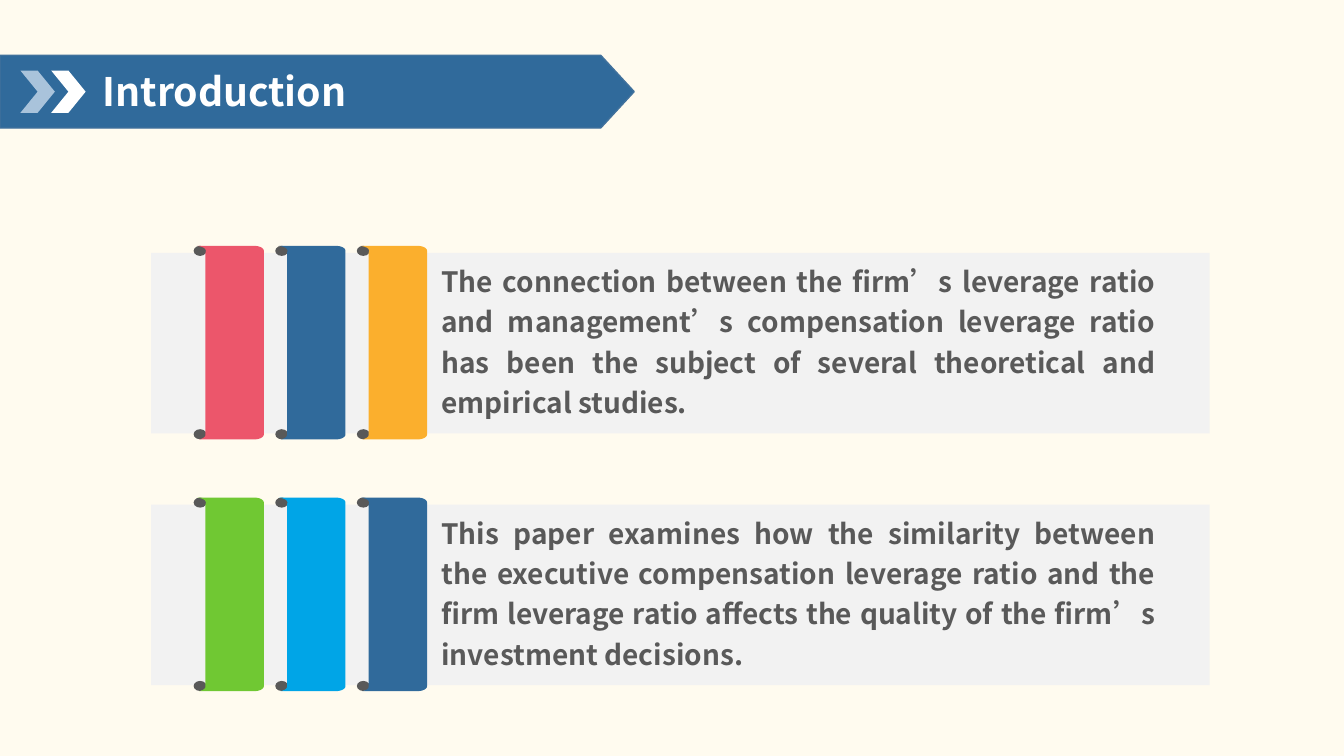
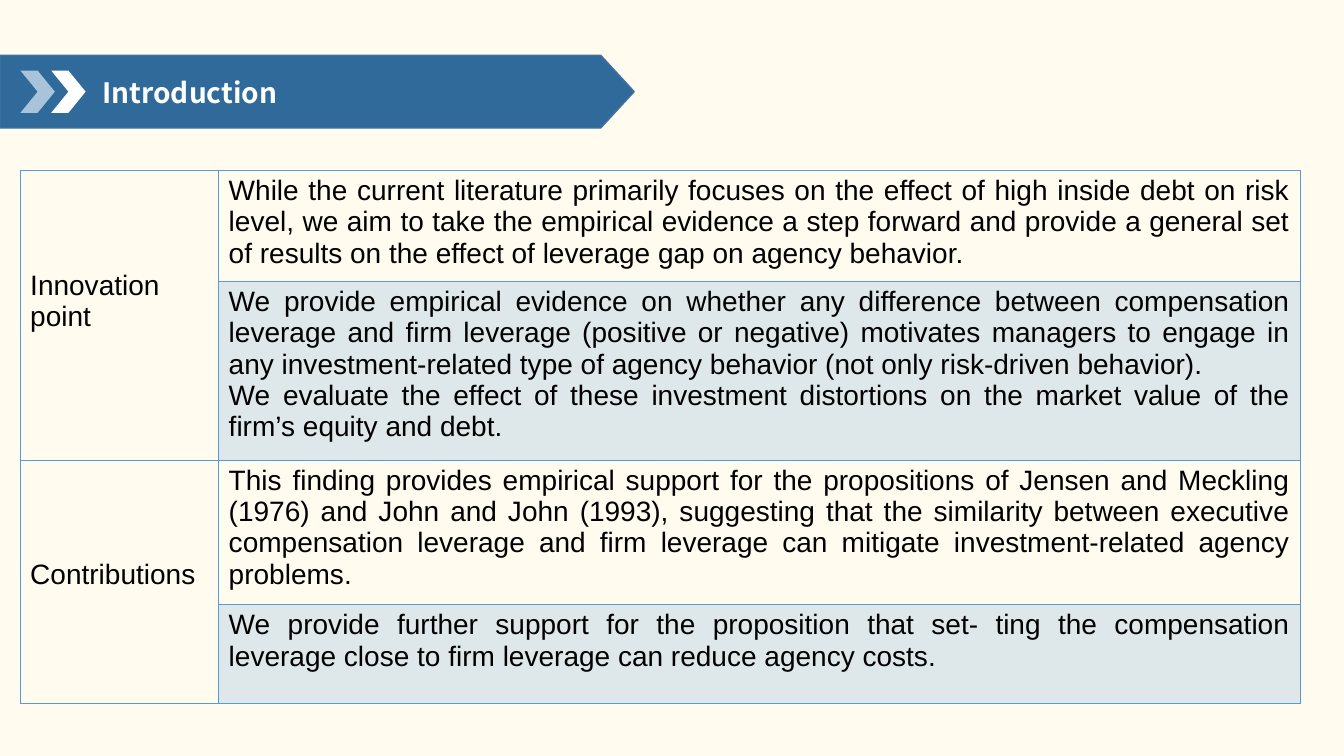
from lxml import etree
from pptx import Presentation
from pptx import util as u
from pptx.dml.color import RGBColor
from pptx.enum import shapes, text
from pptx.oxml.ns import qn

BLUE, GREY, EDGE = "306A9B", "595959", "5B9BD5"
SANS = "Noto Sans CJK SC"
TITLE = dict(size=u.Pt(28), bold=True, name=SANS)
BODY = dict(size=u.Pt(20), bold=True, name=SANS)
CELL = dict(size=u.Pt(20), name="Arial")
JUST = dict(alignment=text.PP_ALIGN.JUSTIFY)
KIND = shapes.MSO_SHAPE

CARDS = [
    (180.6, ["EC566B", BLUE, "FBAF2D"],
     "The connection between the firm’s leverage ratio and management’s compensation "
     "leverage ratio has been the subject of several theoretical and empirical studies."),
    (360.4, ["70C833", "00A5E7", BLUE],
     "This paper examines how the similarity between the executive compensation leverage "
     "ratio and the firm leverage ratio affects the quality of the firm’s investment decisions."),
]
ROWS = [
    ("Innovation point", 79.2, [
        "While the current literature primarily focuses on the effect of high inside debt on "
        "risk level, we aim to take the empirical evidence a step forward and provide a general "
        "set of results on the effect of leverage gap on agency behavior."]),
    (None, 127.6, [
        "We provide empirical evidence on whether any difference between compensation leverage "
        "and firm leverage (positive or negative) motivates managers to engage in any "
        "investment-related type of agency behavior (not only risk-driven behavior).",
        "We evaluate the effect of these investment distortions on the market value of the "
        "firm’s equity and debt."]),
    ("Contributions", 103.2, [
        "This finding provides empirical support for the propositions of Jensen and Meckling "
        "(1976) and John and John (1993), suggesting that the similarity between executive "
        "compensation leverage and firm leverage can mitigate investment-related agency "
        "problems."]),
    (None, 70.8, [
        "We provide further support for the proposition that set- ting the compensation "
        "leverage close to firm leverage can reduce agency costs."]),
]


def rgb(code):
    """Turn a hex string into a colour."""
    return RGBColor.from_string(code)


def curve(a, b, c, d, steps=8):
    """Sample a cubic curve from a to d, without its start."""
    spots = []
    for i in range(1, steps + 1):
        t = i / steps
        s = 1 - t
        spots.append(tuple(s**3 * p + 3 * s * s * t * q + 3 * s * t * t * v + t**3 * w
                           for p, q, v, w in zip(a, b, c, d)))
    return spots


class Deck:
    """Hold the style and the current slide."""

    def __init__(self):
        """Open a blank deck with its shared background."""
        self.prs = Presentation()
        self.prs.slide_width, self.prs.slide_height = u.Pt(960), u.Pt(540)
        fill = self.prs.slide_master.background.fill
        fill.solid()
        fill.fore_color.rgb = rgb("FFFBEF")

    def page(self, title, size):
        """Start a slide with the title band."""
        self.slide = self.prs.slides.add_slide(self.prs.slide_layouts[6])
        self.shape(KIND.PENTAGON, (0, 39.5, 453, 52), BLUE, "41719C", 0.46)
        for i, code in enumerate(["A9C3DB", "FFFFFF"]):
            self.shape(KIND.CHEVRON, (14.6 + 22 * i, 50.4, 24.6, 30.2), code, bend=0.5)
        self.box((66.2, 41.8, 369.4, 51), [title], "FFFFFF", dict(TITLE, size=u.Pt(size)),
                 dict(line_spacing=0.9), text.MSO_ANCHOR.MIDDLE)

    def paint(self, shape, code, line=None):
        """Set the fill and line of a shape."""
        shape.shadow.inherit = False
        shape.fill.solid()
        shape.fill.fore_color.rgb = rgb(code)
        if line:
            shape.line.color.rgb = rgb(line)
            shape.line.width = u.Pt(1)
        else:
            shape.line.fill.background()

    def shape(self, kind, area, code, line=None, bend=None):
        """Add a preset shape."""
        shape = self.slide.shapes.add_shape(kind, *map(u.Pt, area))
        if bend is not None:
            shape.adjustments[0] = bend
        self.paint(shape, code, line)

    def put(self, frame, lines, code, font, para):
        """Write formatted paragraphs into a text frame."""
        for i, words in enumerate(lines):
            p = frame.add_paragraph() if i else frame.paragraphs[0]
            for key, val in para.items():
                setattr(p, key, val)
            run = p.add_run()
            run.text = words
            for key, val in font.items():
                setattr(run.font, key, val)
            run.font.color.rgb = rgb(code)
            east = etree.SubElement(run._r.get_or_add_rPr(), qn("a:ea"))
            east.set("typeface", font["name"])

    def box(self, area, lines, code, font, para, anchor=text.MSO_ANCHOR.TOP):
        """Add a wrapped text box."""
        frame = self.slide.shapes.add_textbox(*map(u.Pt, area)).text_frame
        frame.word_wrap = True
        frame.vertical_anchor = anchor
        self.put(frame, lines, code, font, para)

    def scroll(self, x, y, code):
        """Add a ribbon with a curled left edge and rounded right corners."""
        spots = [(5.8, 5)]
        spots += curve((5.8, 5), (8.3, 0), (-2.9, 0), (0.7, 0))
        spots += [(40.3, 0)]
        spots += curve((40.3, 0), (44.2, 0), (47.5, 1.4), (47.5, 3.6))
        spots += [(47.5, 134.7)]
        spots += curve((47.5, 134.7), (47.5, 136.8), (44.2, 138.3), (40.3, 138.3))
        spots += [(2.2, 138.3)]
        spots += curve((2.2, 138.3), (-1.5, 138.3), (6.2, 138.3), (5.8, 134.7))
        spots = [(u.Pt(x + a), u.Pt(y + b)) for a, b in spots]
        form = self.slide.shapes.build_freeform(*spots[0])
        form.add_line_segments(spots[1:], close=True)
        self.paint(form.convert_to_shape(), code)

    def card(self, top, codes, words):
        """Add a grey panel with three scrolls and a text."""
        self.shape(KIND.RECTANGLE, (108, top, 756, 129), "F2F2F2")
        for i, code in enumerate(codes):
            x, y = 141 + 58.3 * i, top - 5
            for drop in (0, 131):
                self.shape(KIND.OVAL, (x - 2.7, y + drop, 9.2, 7.2), GREY)
            self.scroll(x, y, code)
        self.box((308.2, top, 524.2, 122.4), [words], GREY, BODY,
                 dict(JUST, line_spacing=u.Pt(28.8)))

    def edge(self, cell, row, col):
        """Draw the four borders of a cell."""
        props = cell._tc.get_or_add_tcPr()
        for i, side in enumerate("LRTB"):
            bold = row < 2 and (side, col) in (("R", 0), ("L", 1))
            line = etree.Element(qn("a:ln" + side), w=str(u.Pt(0.96 if bold else 0.45)))
            fill = etree.SubElement(line, qn("a:solidFill"))
            etree.SubElement(fill, qn("a:srgbClr"), val=EDGE)
            props.insert(i, line)

    def table(self, area, cols, rows):
        """Add a table whose first column spans pairs of rows."""
        grid = self.slide.shapes.add_table(len(rows), len(cols), *map(u.Pt, area)).table
        grid.first_row = grid.horz_banding = False
        for col, wide in zip(grid.columns, cols):
            col.width = u.Pt(wide)
        for r, (label, tall, lines) in enumerate(rows):
            grid.rows[r].height = u.Pt(tall)
            head, cell = grid.cell(r, 0), grid.cell(r, 1)
            head.fill.background()
            if label:
                head.merge(grid.cell(r + 1, 0))
                head.margin_top = u.Pt(71)
                self.put(head.text_frame, [label], "000000", CELL, {})
                cell.fill.background()
            else:
                cell.fill.solid()
                cell.fill.fore_color.rgb = rgb(EDGE)
                tint = cell._tc.tcPr.find(".//" + qn("a:srgbClr"))
                etree.SubElement(tint, qn("a:alpha"), val="20000")
            self.put(cell.text_frame, lines, "000000", CELL, JUST)
            for c in range(len(cols)):
                self.edge(grid.cell(r, c), r, c)


def main():
    """Build both slides and save them."""
    deck = Deck()
    deck.page("Introduction", 28)
    for card in CARDS:
        deck.card(*card)
    deck.page("Introduction", 20)
    deck.table((14.4, 121.7, 914.4, 380.8), (141.8, 772.6), ROWS)
    deck.prs.save("out.pptx")


if __name__ == "__main__":
    main()
